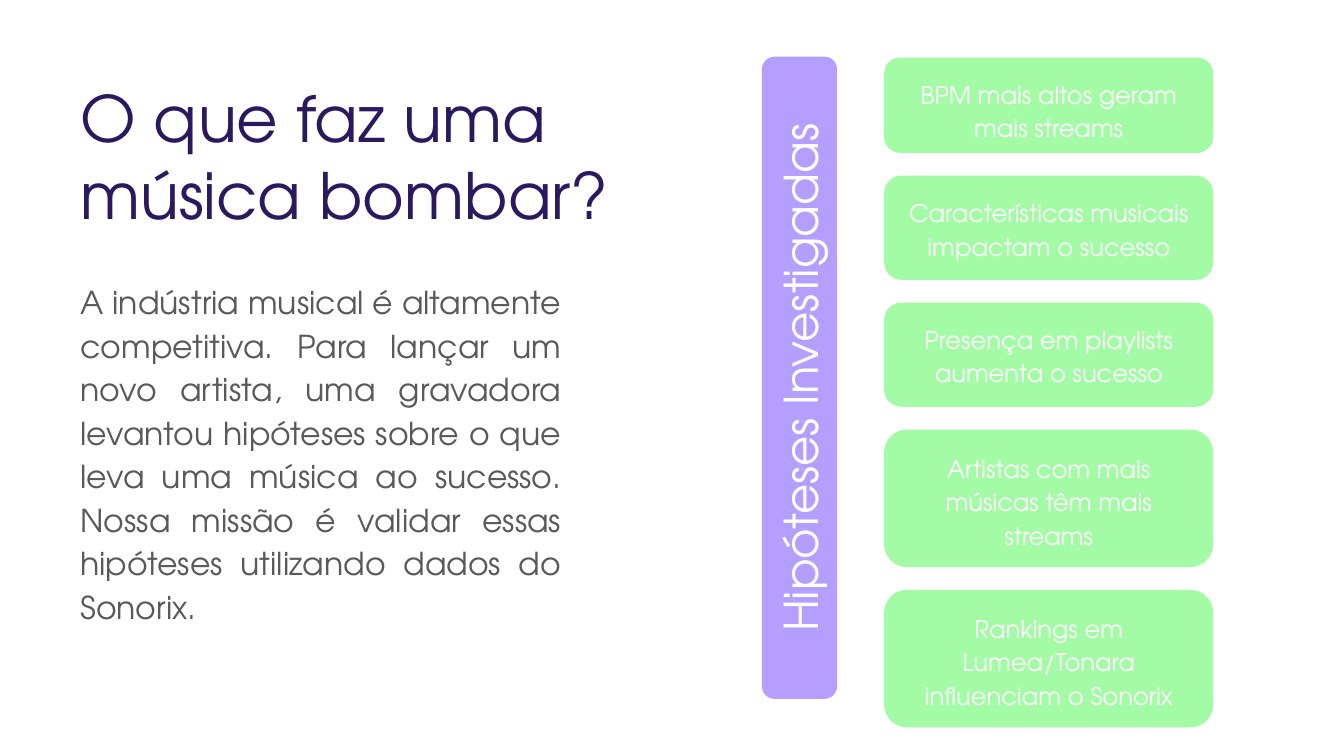
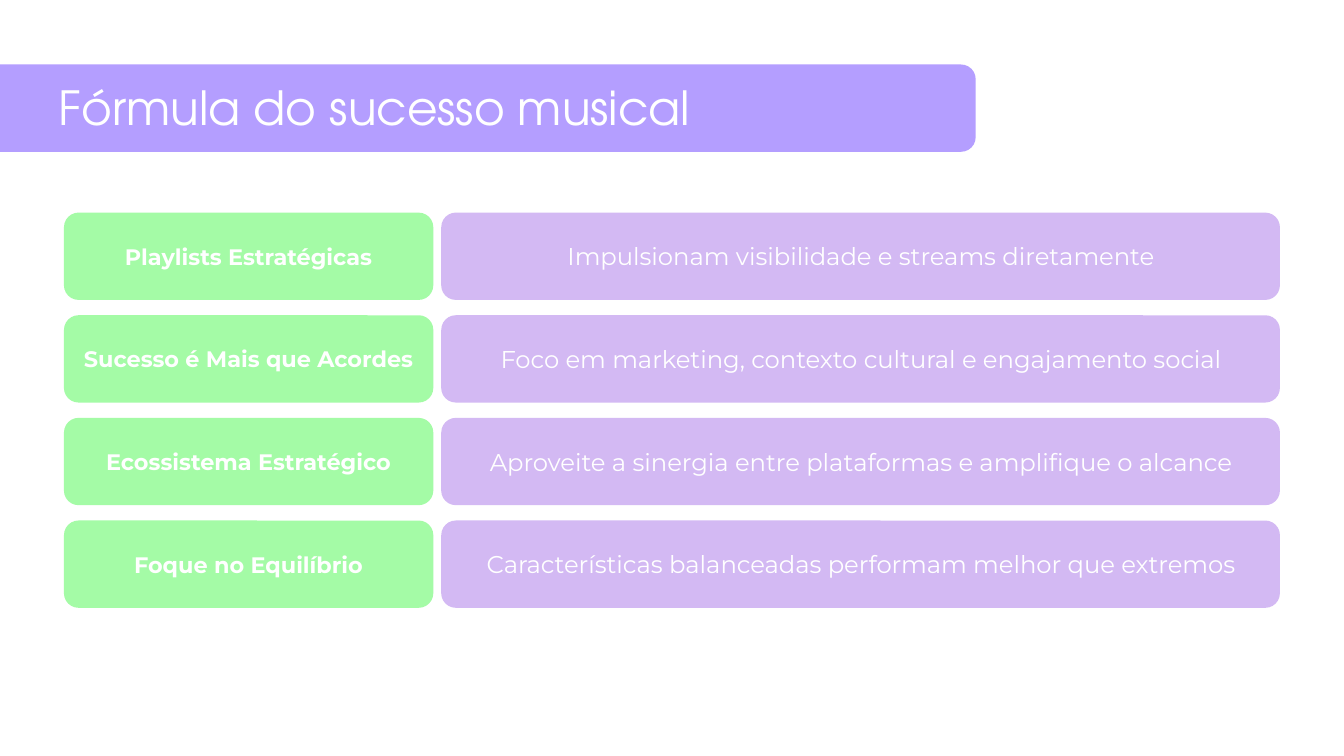
from pptx import Presentation
from pptx import util as u
from pptx.dml import color
from pptx.enum import shapes, text

WHITE, NAVY, GRAY = "FFFFFF", "2B195F", "595959"
GREEN, VIOLET, LILAC = "A4FBA6", "B49EFF", "D3B9F3"
ADVENTOR, MONTSERRAT = "TeX Gyre Adventor", "Montserrat"
TOP, MIDDLE = text.MSO_ANCHOR.TOP, text.MSO_ANCHOR.MIDDLE
LEFT, CENTER, JUSTIFY = text.PP_ALIGN.LEFT, text.PP_ALIGN.CENTER, text.PP_ALIGN.JUSTIFY
INSET = u.Cm(0.25)
FRAME = {"word_wrap": True, "margin_left": INSET, "margin_right": INSET,
         "margin_top": INSET, "margin_bottom": INSET}
SPACED = {"line_spacing": 1.15, "space_after": u.Pt(12)}


def rgb(value):
    return color.RGBColor.from_string(value)


def add_box(page, place, words="", fill=None, ink=WHITE, size=13, face=ADVENTOR,
            bold=False, align=CENTER, anchor=MIDDLE, spacing={}):
    place = [u.Cm(length) for length in place]
    if fill:
        box = page.shapes.add_shape(shapes.MSO_SHAPE.ROUNDED_RECTANGLE, *place)
        box.adjustments[0] = 0.167
        box.shadow.inherit = False
        box.fill.solid()
        box.fill.fore_color.rgb = rgb(fill)
        box.line.fill.background()
    else:
        box = page.shapes.add_textbox(*place)
    if words:
        frame = box.text_frame
        para = frame.paragraphs[0]
        span = para.add_run()
        span.text = words
        span.font.color.rgb = rgb(ink)
        formats = [
            (frame, {**FRAME, "vertical_anchor": anchor}),
            (para, {"alignment": align, **spacing}),
            (span.font, {"name": face, "size": u.Pt(size), "bold": bold}),
        ]
        for target, values in formats:
            for name, value in values.items():
                setattr(target, name, value)
    return box


deck = Presentation()
deck.slide_width, deck.slide_height = u.Cm(25.4), u.Cm(14.29)
blank = deck.slide_layouts[6]
title_style = {"align": LEFT, "anchor": TOP}

page = deck.slides.add_slide(blank)
add_box(page, (1.27, 1.24, 10.85, 3.76), "O que faz uma música bombar?",
        ink=NAVY, size=34.2, **title_style)
add_box(page, (1.27, 5, 9.6, 7.67),
        "A indústria musical é altamente competitiva. Para lançar um novo artista, "
        "uma gravadora levantou hipóteses sobre o que leva uma música ao sucesso. "
        "Nossa missão é validar essas hipóteses utilizando dados do Sonorix.",
        ink=GRAY, size=16.9, align=JUSTIFY, anchor=TOP, spacing=SPACED)

hypotheses = [
    (1.8, "BPM mais altos geram mais streams"),
    (1.97, "Características musicais impactam o sucesso"),
    (1.97, "Presença em playlists aumenta o sucesso"),
    (2.6, "Artistas com mais músicas têm mais streams"),
    (2.6, "Rankings em Lumea/Tonara influenciam o Sonorix"),
]
card_top, card_gap = 1.09, 0.43
for height, words in hypotheses:
    add_box(page, (16.71, card_top, 6.22, height), words, GREEN, anchor=TOP, spacing=SPACED)
    card_top += height + card_gap

banner = add_box(page, (9.04, 6.43, 12.14, 1.42), "Hipóteses Investigadas", VIOLET, size=25)
banner.rotation = 270

page = deck.slides.add_slide(blank)
add_box(page, (-0.43, 1.22, 18.87, 1.65), fill=VIOLET)
add_box(page, (0.86, 1.24, 23.67, 1.6), "Fórmula do sucesso musical", size=25.2, **title_style)

formula = [
    ("Playlists Estratégicas", "Impulsionam visibilidade e streams diretamente"),
    ("Sucesso é Mais que Acordes", "Foco em marketing, contexto cultural e engajamento social"),
    ("Ecossistema Estratégico", "Aproveite a sinergia entre plataformas e amplifique o alcance"),
    ("Foque no Equilíbrio", "Características balanceadas performam melhor que extremos"),
]
for row, (factor, advice) in enumerate(formula):
    row_top = 4.02 + row * 1.94
    add_box(page, (8.34, row_top, 15.85, 1.65), advice, LILAC, face=MONTSERRAT)
    add_box(page, (1.21, row_top, 6.98, 1.65), factor, GREEN, size=12, face=MONTSERRAT, bold=True)

deck.save("out.pptx")
